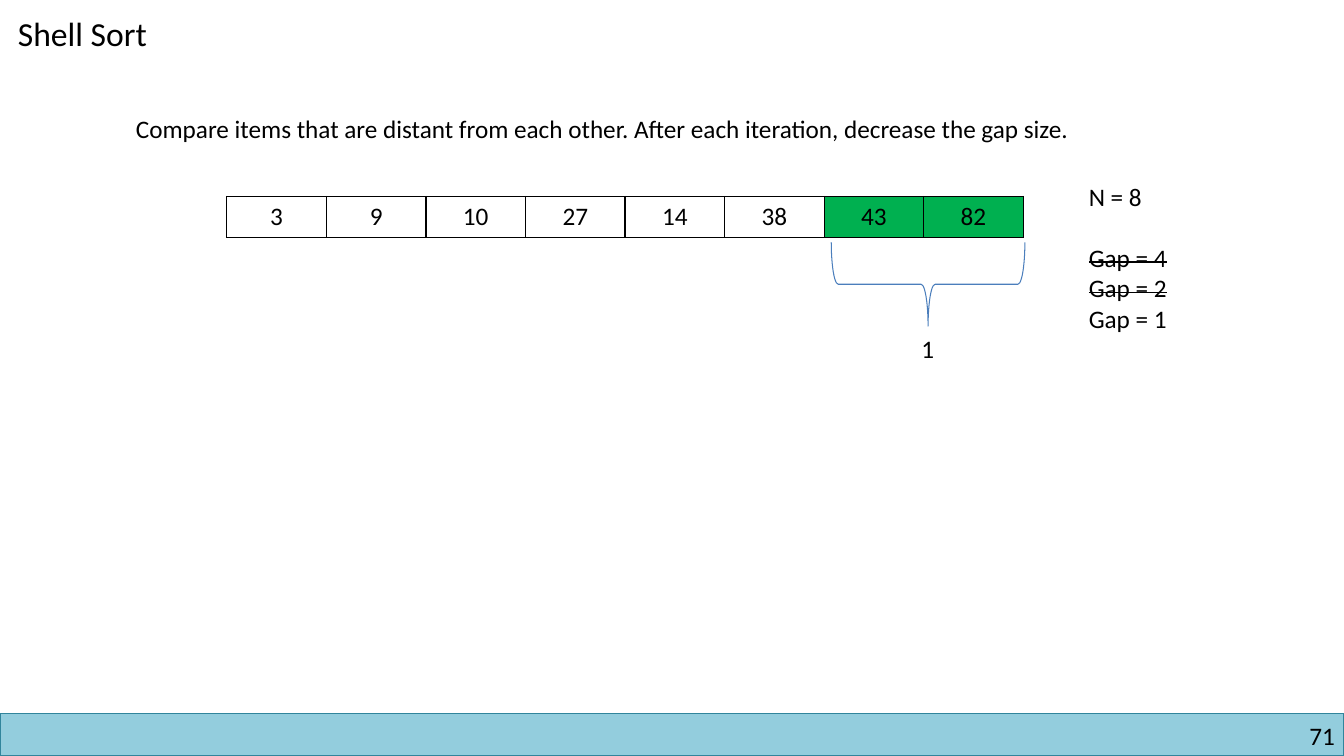
import dataclasses

import lxml.etree
import pptx
import pptx.dml.color
import pptx.enum.shapes
import pptx.enum.text
import pptx.oxml.ns
import pptx.util

Inches = pptx.util.Inches
Pt = pptx.util.Pt
Align = pptx.enum.text.PP_ALIGN
Shape = pptx.enum.shapes.MSO_SHAPE


@dataclasses.dataclass(frozen=True)
class Theme:
    font: str = "Calibri"
    title: int = 24
    body: int = 18
    black: str = "000000"
    white: str = "FFFFFF"
    green: str = "00B050"
    bar: str = "93CDDD"
    edge: str = "31859C"
    brace: str = "4B7EBC"


THEME = Theme()


def color(code):
    return pptx.dml.color.RGBColor.from_string(code)


def paint(fill, code):
    fill.solid()
    fill.fore_color.rgb = color(code)


def write(par, text, size=THEME.body, align=Align.LEFT, strike=False, before=0):
    par.alignment = align
    if before:
        par.space_before = Pt(before)
    run = par.add_run()
    run.text = text
    run.font.name = THEME.font
    run.font.size = Pt(size)
    run.font.color.rgb = color(THEME.black)
    if strike:
        run.font._element.set("strike", "sngStrike")


def add_text(slide, box, lines, inset=True):
    frame = slide.shapes.add_textbox(*map(Inches, box)).text_frame
    frame.word_wrap = True
    if not inset:
        frame.margin_left = frame.margin_right = 0
        frame.margin_top = frame.margin_bottom = 0
    for i, (text, style) in enumerate(lines):
        par = frame.add_paragraph() if i else frame.paragraphs[0]
        write(par, text, **style)


def add_form(slide, kind, box, line, width, fill=None, turn=0):
    form = slide.shapes.add_shape(kind, *map(Inches, box))
    form.shadow.inherit = False
    form.rotation = turn
    form.line.color.rgb = color(line)
    form.line.width = Pt(width)
    if fill:
        paint(form.fill, fill)
    else:
        form.fill.background()


def border(cell):
    qn = pptx.oxml.ns.qn
    props = cell._tc.get_or_add_tcPr()
    for side in ("lnL", "lnR", "lnT", "lnB"):
        line = lxml.etree.SubElement(props, qn(f"a:{side}"), w=str(Pt(1)))
        fill = lxml.etree.SubElement(line, qn("a:solidFill"))
        lxml.etree.SubElement(fill, qn("a:srgbClr"), val=THEME.black)


def add_list(slide, box, items, marked):
    table = slide.shapes.add_table(1, len(items), *map(Inches, box)).table
    table.first_row = table.horz_banding = False
    for i, item in enumerate(items):
        cell = table.cell(0, i)
        border(cell)
        paint(cell.fill, THEME.green if i in marked else THEME.white)
        write(cell.text_frame.paragraphs[0], str(item), align=Align.CENTER)


def main():
    deck = pptx.Presentation()
    deck.slide_width, deck.slide_height = Inches(13.33), Inches(7.5)
    slide = deck.slides.add_slide(deck.slide_layouts[6])

    add_form(slide, Shape.RECTANGLE, (0, 7.08, 13.33, 0.42), THEME.edge, 1, THEME.bar)
    add_text(slide, (10.17, 7.15, 3.07, 0.3), [("71", {"align": Align.RIGHT})], inset=False)
    add_text(slide, (0.08, 0.08, 1.66, 0.5), [("Shell Sort", {"size": THEME.title})])
    add_text(slide, (1.25, 1.08, 10.36, 0.4), [
        ("Compare items that are distant from each other. "
         "After each iteration, decrease the gap size.", {}),
    ])
    add_list(slide, (2.25, 1.95, 7.9, 0.41), [3, 9, 10, 27, 14, 38, 43, 82], {6, 7})
    add_text(slide, (10.7, 1.75, 1.11, 1.62), [
        ("N = 8", {}),
        ("Gap = 4", {"strike": True, "before": 22}),
        ("Gap = 2", {"strike": True}),
        ("Gap = 1", {}),
    ])
    add_form(slide, Shape.LEFT_BRACE, (8.79, 1.86, 0.83, 1.92), THEME.brace, 0.75, turn=270)
    add_text(slide, (9.04, 3.26, 0.34, 0.4), [("1", {})])
    deck.save("out.pptx")


if __name__ == "__main__":
    main()
